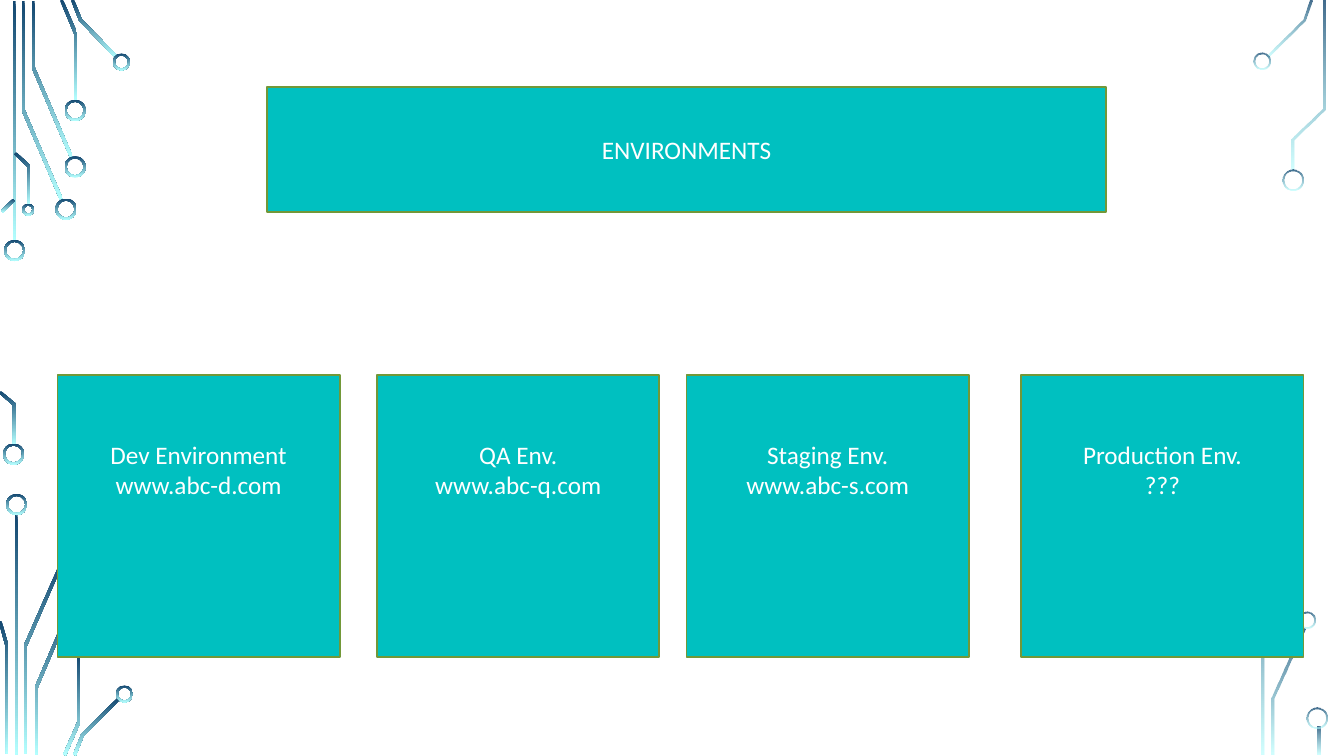
import math

from lxml import etree
from pptx import Presentation
from pptx.dml.color import RGBColor
from pptx.enum import shapes, text
from pptx.oxml import ns
from pptx.util import Inches, Pt

COLORS = {"box": "00C0C0", "border": "729838", "text": "FFFFFF",
          "trace_top": "134770", "trace_bottom": "B4FFFF"}
FONT = "Calibri"
TRACE_WIDTH = 0.03
RING_WIDTH = 0.02

HEADING = "ENVIRONMENTS"
HEADING_BOX = (2.65, 0.86, 8.32, 1.24)
ENVIRONMENTS = [
    (0.57, ["Dev Environment", "www.abc-d.com"]),
    (3.74, ["QA Env.", "www.abc-q.com"]),
    (6.81, ["Staging Env.", "www.abc-s.com"]),
    (10.13, ["Production Env.", "???"]),
]
CARD_TOP, CARD_SIZE, CARD_BOTTOM_INSET = 3.72, 2.8, 0.97

CIRCUITS = [
    {
        "opacity": (100, 100),
        "traces": [
            [(0.14, 0.01), (0.14, 2.4)],
            [(0.23, 0.01), (0.23, 1.09), (0.61, 1.98)],
            [(0.33, 0.01), (0.33, 0.67), (0.71, 1.56)],
            [(0.61, 0), (0.75, 0.33), (0.75, 1)],
            [(0.72, 0), (0.8, 0.2), (1.16, 0.57)],
            [(0.14, 1.98), (0.02, 2.1)],
            [(0, 3.89), (0.14, 4.01), (0.14, 4.41)],
            [(0.15, 1.52), (0.29, 1.65), (0.29, 2.03)],
            [(0.16, 5.1), (0.16, 7.49)],
            [(0.25, 7.48), (0.25, 6.41), (0.64, 5.52)],
            [(0, 6.16), (0.07, 6.41), (0.07, 7.48)],
            [(0.36, 7.49), (0.36, 6.82), (0.74, 5.93)],
            [(0.64, 7.49), (0.78, 7.17), (0.78, 6.5)],
            [(0.74, 7.49), (0.82, 7.29), (1.18, 6.93)],
        ],
        "rings": [
            (0.04, 2.38, 0.21), (0.03, 4.4, 0.21), (0.55, 1.97, 0.21),
            (0.64, 1.55, 0.21), (0.64, 0.99, 0.21), (1.12, 0.53, 0.17),
            (0.22, 2.02, 0.12), (0.06, 4.9, 0.21), (1.15, 6.8, 0.17),
        ],
    },
    {
        "opacity": (80, 60),
        "traces": [
            [(13, 0), (12.93, 0.2), (12.57, 0.56)],
            [(12.63, 7.49), (12.63, 6.93), (12.93, 6.23)],
            [(13.13, 0.01), (13.13, 1.08), (12.82, 1.38), (12.82, 1.69)],
            [(12.53, 7.49), (12.53, 6.13), (12.83, 5.83), (12.83, 5.52)],
            [(13.08, 7.21), (13.08, 7.49)],
        ],
        "rings": [
            (12.43, 0.52, 0.17), (12.72, 1.68, 0.21),
            (12.88, 6.07, 0.17), (12.96, 7.02, 0.21),
        ],
    },
]


def color(name):
    return RGBColor.from_string(COLORS[name])


def trace_outline(points):
    normals = []
    for (x1, y1), (x2, y2) in zip(points, points[1:]):
        length = math.hypot(x2 - x1, y2 - y1)
        normals.append(((y1 - y2) / length, (x2 - x1) / length))
    left, right = [], []
    for (x, y), (ax, ay), (bx, by) in zip(points, normals[:1] + normals, normals + normals[-1:]):
        reach = TRACE_WIDTH / 2 / (1 + ax * bx + ay * by)
        dx, dy = (ax + bx) * reach, (ay + by) * reach
        left.append((Inches(x + dx), Inches(y + dy)))
        right.append((Inches(x - dx), Inches(y - dy)))
    return left + right[::-1]


def paint_circuit(shape, opacity):
    shape.shadow.inherit = False
    shape.line.fill.background()
    shape.fill.gradient()
    shape.fill.gradient_angle = 270
    for stop, position, name, percent in zip(
            shape.fill.gradient_stops, (0, 1), ("trace_top", "trace_bottom"), opacity):
        stop.position = position
        stop.color.rgb = color(name)
    for value, percent in zip(shape.element.spPr.iter(ns.qn("a:srgbClr")), opacity):
        if percent < 100:
            etree.SubElement(value, ns.qn("a:alpha"), val=str(percent * 1000))


def draw_circuit(slide, circuit):
    for points in circuit["traces"]:
        outline = trace_outline(points)
        builder = slide.shapes.build_freeform(*outline[0], scale=1.0)
        builder.add_line_segments(outline[1:], close=True)
        paint_circuit(builder.convert_to_shape(), circuit["opacity"])
    for left, top, size in circuit["rings"]:
        ring = slide.shapes.add_shape(
            shapes.MSO_SHAPE.DONUT, *map(Inches, (left, top, size, size)))
        ring.adjustments[0] = RING_WIDTH / size
        paint_circuit(ring, circuit["opacity"])


def format_box(shape, lines):
    shape.fill.solid()
    shape.fill.fore_color.rgb = color("box")
    shape.line.color.rgb = color("border")
    shape.line.width = Pt(1.25)
    frame = shape.text_frame
    frame.word_wrap = True
    frame.auto_size = text.MSO_AUTO_SIZE.NONE
    frame.vertical_anchor = text.MSO_ANCHOR.MIDDLE
    for index, line in enumerate(lines):
        paragraph = frame.add_paragraph() if index else frame.paragraphs[0]
        paragraph.alignment = text.PP_ALIGN.CENTER
        paragraph.line_spacing = 1.0
        paragraph.space_before = Pt(0)
        run = paragraph.add_run()
        run.text = line
        run.font.name = FONT
        run.font.size = Pt(18)
        run.font.color.rgb = color("text")


def main():
    presentation = Presentation()
    presentation.slide_width = Inches(13.33)
    presentation.slide_height = Inches(7.5)
    slide = presentation.slides.add_slide(presentation.slide_layouts[5])
    for circuit in CIRCUITS:
        draw_circuit(slide, circuit)
    title = slide.shapes.title
    title.left, title.top, title.width, title.height = map(Inches, HEADING_BOX)
    format_box(title, [HEADING])
    for left, lines in ENVIRONMENTS:
        card = slide.shapes.add_shape(
            shapes.MSO_SHAPE.RECTANGLE, *map(Inches, (left, CARD_TOP, CARD_SIZE, CARD_SIZE)))
        card.shadow.inherit = False
        format_box(card, lines)
        card.text_frame.margin_bottom = Inches(CARD_BOTTOM_INSET)
    presentation.save("out.pptx")


if __name__ == "__main__":
    main()
